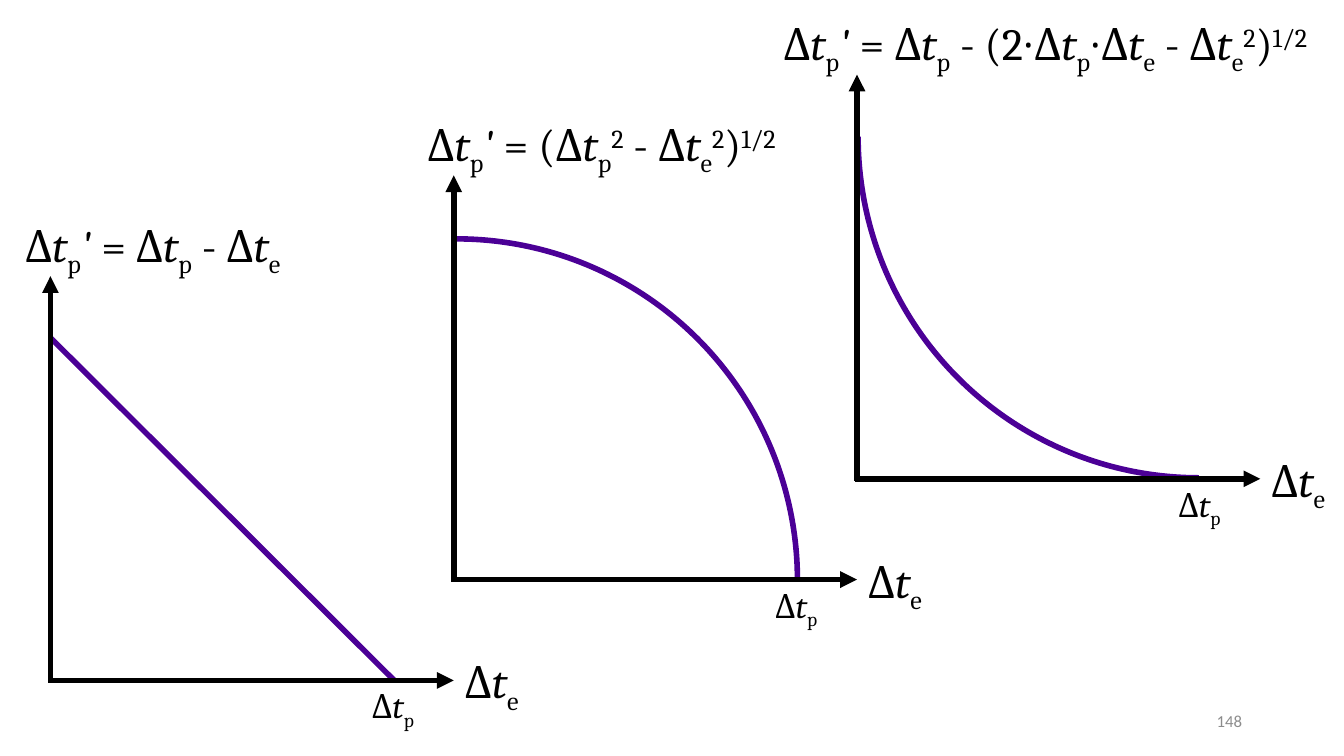
from lxml.etree import SubElement
from pptx import Presentation
from pptx.dml.color import RGBColor
from pptx.enum.shapes import MSO_CONNECTOR as Connector, MSO_SHAPE as Preset
from pptx.enum.text import MSO_ANCHOR as Anchor, MSO_AUTO_SIZE as AutoSize, PP_ALIGN as Align
from pptx.oxml.ns import qn
from pptx.util import Pt

PX = 9144
BLACK, PURPLE, GREY = "000000", "4B0096", "8C8C8C"
BASELINES = {"sub": "-25000", "sup": "30000"}


def color(hex_string):
    """Turn a hex string into a colour."""
    return RGBColor.from_string(hex_string)


def delta(index, lead=""):
    """Return the runs of one time difference, after any leading text."""
    return [(lead + "Δ", ""), ("t", "italic"), (index, "sub")]


class Sketch:
    """Hold the style and the current slide, and draw its elements."""

    def __init__(self, slide, font="Cambria", stroke=4):
        """Keep the slide, the text font and the line width."""
        self.shapes = slide.shapes
        self.font = font
        self.stroke = stroke

    def pen(self, shape, ink):
        """Give a shape the common line width and a colour."""
        shape.line.width = Pt(self.stroke)
        shape.line.color.rgb = color(ink)

    def line(self, start, end, ink=BLACK, arrow=False):
        """Draw a straight line, with an arrowhead at its end if wanted."""
        points = [value * PX for value in (*start, *end)]
        line = self.shapes.add_connector(Connector.STRAIGHT, *points)
        self.pen(line, ink)
        properties = line._element.spPr
        if arrow:
            SubElement(properties.find(qn("a:ln")), qn("a:tailEnd"), type="triangle")
        SubElement(properties, qn("a:effectLst"))

    def arc(self, left, top, width, height, rotation=0):
        """Draw a quarter of an ellipse."""
        arc = self.shapes.add_shape(Preset.ARC, left * PX, top * PX, width * PX, height * PX)
        arc.rotation = rotation
        arc.shadow.inherit = False
        arc.fill.background()
        self.pen(arc, PURPLE)

    def text(self, left, top, width, height, runs, size, ink=BLACK, font=None):
        """Write one line of runs and return its text frame."""
        box = self.shapes.add_textbox(left * PX, top * PX, width * PX, height * PX)
        frame = box.text_frame
        frame.word_wrap = False
        frame.auto_size = AutoSize.SHAPE_TO_FIT_TEXT
        para = frame.paragraphs[0]
        for words, style in runs:
            span = para.add_run()
            span.text = words
            span.font.name = font or self.font
            span.font.size = Pt(size)
            span.font.color.rgb = color(ink)
            if style == "italic":
                span.font.italic = True
            elif style:
                span.font._element.set("baseline", BASELINES[style])
        return frame

    def axes(self, x, y):
        """Draw both axes of a plot and the labels beside them."""
        self.line((x - 2, y), (x + 400, y), arrow=True)
        self.line((x, y + 2), (x, y - 401), arrow=True)
        self.text(x + 309, y, 64, 50, delta("p"), 24)
        self.text(x + 401, y - 31, 77, 64, delta("e"), 32)

    def page_number(self, number):
        """Write the page number at the lower right."""
        frame = self.text(942, 695, 300, 40, [(number, "")], 12, GREY, "Calibri")
        frame.auto_size = AutoSize.NONE
        frame.word_wrap = True
        frame.vertical_anchor = Anchor.MIDDLE
        frame.paragraphs[0].alignment = Align.RIGHT


def main():
    """Build the slide with three plots and save it."""
    deck = Presentation()
    deck.slide_width, deck.slide_height = 1333 * PX, 750 * PX
    sketch = Sketch(deck.slides.add_slide(deck.slide_layouts[6]))

    origins = [(50 + 400 * step, 675 - 100 * step) for step in range(3)]
    (line_x, line_y), (round_x, round_y), (hollow_x, hollow_y) = origins
    sketch.arc(round_x - 335, round_y - 338, 676, 677)
    sketch.arc(hollow_x + 1, hollow_y - 678, 676, 677, rotation=180)
    sketch.line((line_x, line_y - 340), (line_x + 341, line_y), PURPLE)

    result = delta("p") + [("'", "italic")]
    square = [("2", "sup")]
    root = [(")", ""), ("1/2", "sup")]
    equations = [
        (15, 284, delta("p", " = ") + delta("e", " - ")),
        (414, 400, delta("p", " = (") + square + delta("e", " - ") + square + root),
        (767, 581, delta("p", " = ") + delta("p", " - (2∙") + delta("e", "∙")
         + delta("e", " - ") + square + root),
    ]
    for (x, y), (left, width, terms) in zip(origins, equations):
        sketch.axes(x, y)
        sketch.text(left, y - 464, width, 64, result + terms, 32)

    sketch.page_number("148")
    deck.save("out.pptx")


if __name__ == "__main__":
    main()
